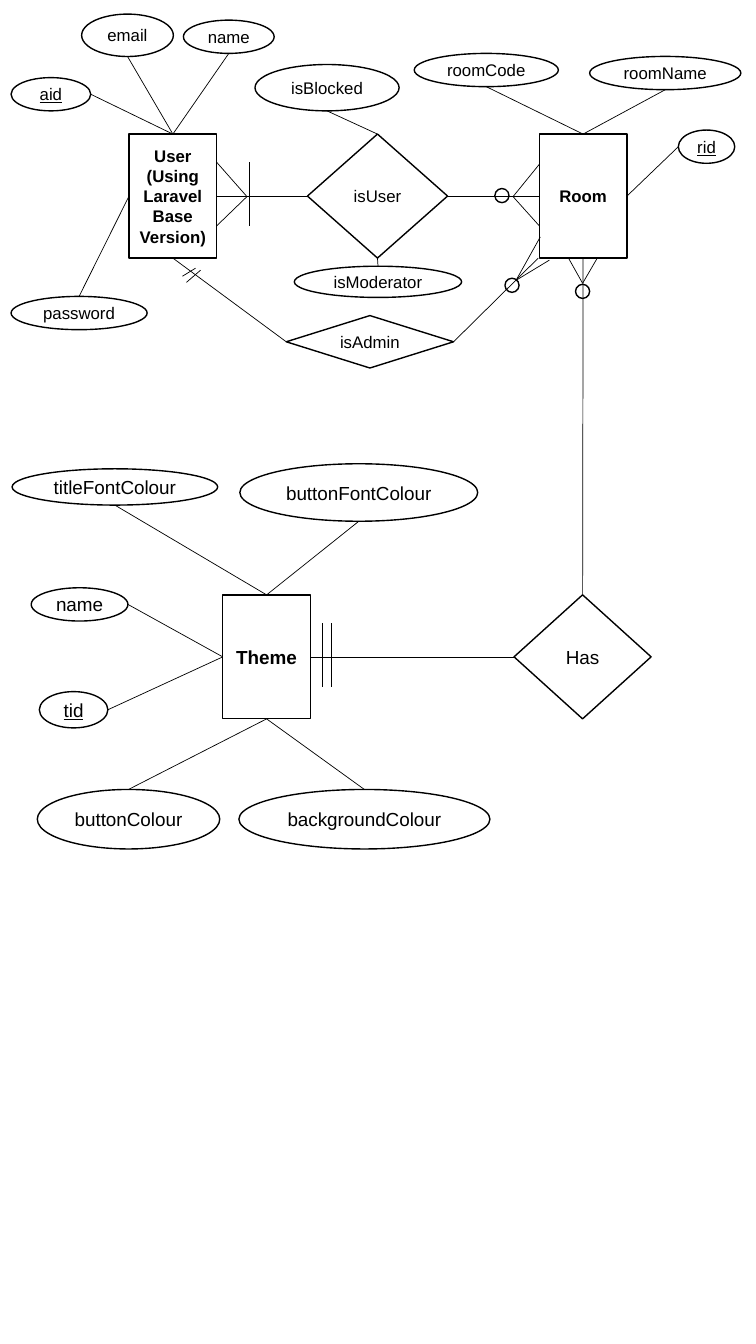
from lxml.etree import SubElement
from pptx import Presentation
from pptx.dml.color import RGBColor
from pptx.enum.shapes import MSO_CONNECTOR as Connector, MSO_SHAPE as Preset
from pptx.enum.text import MSO_ANCHOR as Anchor, PP_ALIGN as Align
from pptx.oxml.ns import qn
from pptx.util import Inches, Pt

COLOURS = {"ink": "000000"}
INK = RGBColor.from_string(COLOURS["ink"])
FONT = "Arial"
ROOM_SIZE, THEME_SIZE = 12, 13.5
ENTITY_WIDTH, ENTITY_HEIGHT = 0.87, 1.23
ZERO_MARK = 0.14
SIDES = {"top": (0.5, 0), "left": (0, 0.5), "bottom": (0.5, 1), "right": (1, 0.5)}


def add_outline(slide, preset, box):
    outline = slide.shapes.add_shape(preset, *map(Inches, box))
    outline.shadow.inherit = False
    outline.fill.background()
    outline.line.color.rgb = INK
    outline.line.width = Pt(1)
    return outline


def add_node(slide, preset, label, box, size, bold=False, key=False):
    node = add_outline(slide, preset, box)
    frame = node.text_frame
    frame.text = label
    frame.word_wrap = preset == Preset.RECTANGLE
    frame.vertical_anchor = Anchor.MIDDLE
    frame.margin_left = frame.margin_right = 0
    frame.margin_top = frame.margin_bottom = 0
    paragraph = frame.paragraphs[0]
    paragraph.alignment = Align.CENTER
    font = paragraph.runs[0].font
    font.name, font.size = FONT, Pt(size)
    font.bold, font.underline = bold, key
    font.color.rgb = INK
    return node


def add_entity(slide, label, left, top, size):
    box = (left, top, ENTITY_WIDTH, ENTITY_HEIGHT)
    return add_node(slide, Preset.RECTANGLE, label, box, size, bold=True)


def add_relation(slide, label, box, size):
    return add_node(slide, Preset.DIAMOND, label, box, size)


def side_point(node, side):
    across, down = SIDES[side]
    return (node.left + int(node.width * across), node.top + int(node.height * down))


def add_line(slide, start, end):
    line = slide.shapes.add_connector(Connector.STRAIGHT, *start, *end)
    line.line.color.rgb = INK
    line.line.width = Pt(0.5)
    SubElement(line._element.spPr, qn("a:effectLst"))


def link(slide, node, side, other, other_side):
    add_line(slide, side_point(node, side), side_point(other, other_side))


def add_attributes(slide, owner, size, attributes):
    for label, box, side, owner_side, key in attributes:
        attribute = add_node(slide, Preset.OVAL, label, box, size, key=key)
        link(slide, attribute, side, owner, owner_side)


def add_strokes(slide, strokes):
    for x1, y1, x2, y2 in strokes:
        add_line(slide, (Inches(x1), Inches(y1)), (Inches(x2), Inches(y2)))


def add_crow_foot(slide, tip, toes):
    add_strokes(slide, [(*tip, *toe) for toe in toes])


def add_zero_mark(slide, left, top):
    add_outline(slide, Preset.OVAL, (left, top, ZERO_MARK, ZERO_MARK))


def main():
    deck = Presentation()
    deck.slide_width, deck.slide_height = Inches(7.5), Inches(13.33)
    slide = deck.slides.add_slide(deck.slide_layouts[6])

    user = add_entity(slide, "User (Using Laravel Base Version)", 1.28, 1.33, ROOM_SIZE)
    room = add_entity(slide, "Room", 5.35, 1.33, ROOM_SIZE)
    theme = add_entity(slide, "Theme", 2.21, 5.9, THEME_SIZE)
    is_user = add_relation(slide, "isUser", (3.05, 1.33, 1.39, 1.23), ROOM_SIZE)
    is_admin = add_relation(slide, "isAdmin", (2.84, 3.13, 1.66, 0.52), ROOM_SIZE)
    has = add_relation(slide, "Has", (5.1, 5.9, 1.36, 1.23), THEME_SIZE)

    add_attributes(slide, user, ROOM_SIZE, [
        ("aid", (0.11, 0.77, 0.79, 0.33), "right", "top", True),
        ("email", (0.81, 0.14, 0.91, 0.42), "bottom", "top", False),
        ("name", (1.82, 0.2, 0.9, 0.33), "bottom", "top", False),
        ("password", (0.11, 2.94, 1.35, 0.33), "top", "left", False),
    ])
    add_attributes(slide, is_user, ROOM_SIZE, [
        ("isBlocked", (2.53, 0.64, 1.43, 0.46), "bottom", "top", False),
        ("isModerator", (2.92, 2.64, 1.66, 0.31), "top", "bottom", False),
    ])
    add_attributes(slide, room, ROOM_SIZE, [
        ("roomCode", (4.11, 0.53, 1.43, 0.33), "bottom", "top", False),
        ("roomName", (5.85, 0.56, 1.5, 0.33), "bottom", "top", False),
        ("rid", (6.73, 1.29, 0.56, 0.33), "left", "right", True),
    ])
    add_attributes(slide, theme, THEME_SIZE, [
        ("titleFontColour", (0.12, 4.65, 2.04, 0.36), "bottom", "top", False),
        ("buttonFontColour", (2.38, 4.6, 2.36, 0.57), "bottom", "top", False),
        ("name", (0.31, 5.83, 0.96, 0.33), "right", "left", False),
        ("tid", (0.39, 6.86, 0.68, 0.36), "right", "left", True),
        ("buttonColour", (0.37, 7.83, 1.81, 0.59), "top", "bottom", False),
        ("backgroundColour", (2.37, 7.83, 2.49, 0.59), "top", "bottom", False),
    ])

    link(slide, user, "right", is_user, "left")
    link(slide, is_user, "right", room, "left")
    link(slide, user, "bottom", is_admin, "left")
    add_strokes(slide, [(4.5, 3.39, 5.34, 2.56)])
    link(slide, room, "bottom", has, "top")
    link(slide, theme, "right", has, "left")

    add_crow_foot(slide, (2.45, 1.95), [(2.15, 1.61), (2.15, 2.24)])
    add_crow_foot(slide, (5.09, 1.95), [(5.35, 1.63), (5.35, 2.24)])
    add_crow_foot(slide, (5.12, 2.78), [(5.36, 2.35), (5.45, 2.58)])
    add_crow_foot(slide, (5.78, 2.81), [(5.64, 2.56), (5.92, 2.57)])
    for left, top in [(4.91, 1.87), (5.01, 2.76), (5.71, 2.82)]:
        add_zero_mark(slide, left, top)

    one_user = [(2.47, 1.61, 2.47, 2.24)]
    one_admin = [(1.94, 2.66, 1.81, 2.74), (1.99, 2.68, 1.85, 2.8)]
    one_theme = [(x, 6.18, x, 6.81) for x in (3.2, 3.29)]
    add_strokes(slide, one_user + one_admin + one_theme)

    deck.save("out.pptx")


main()
